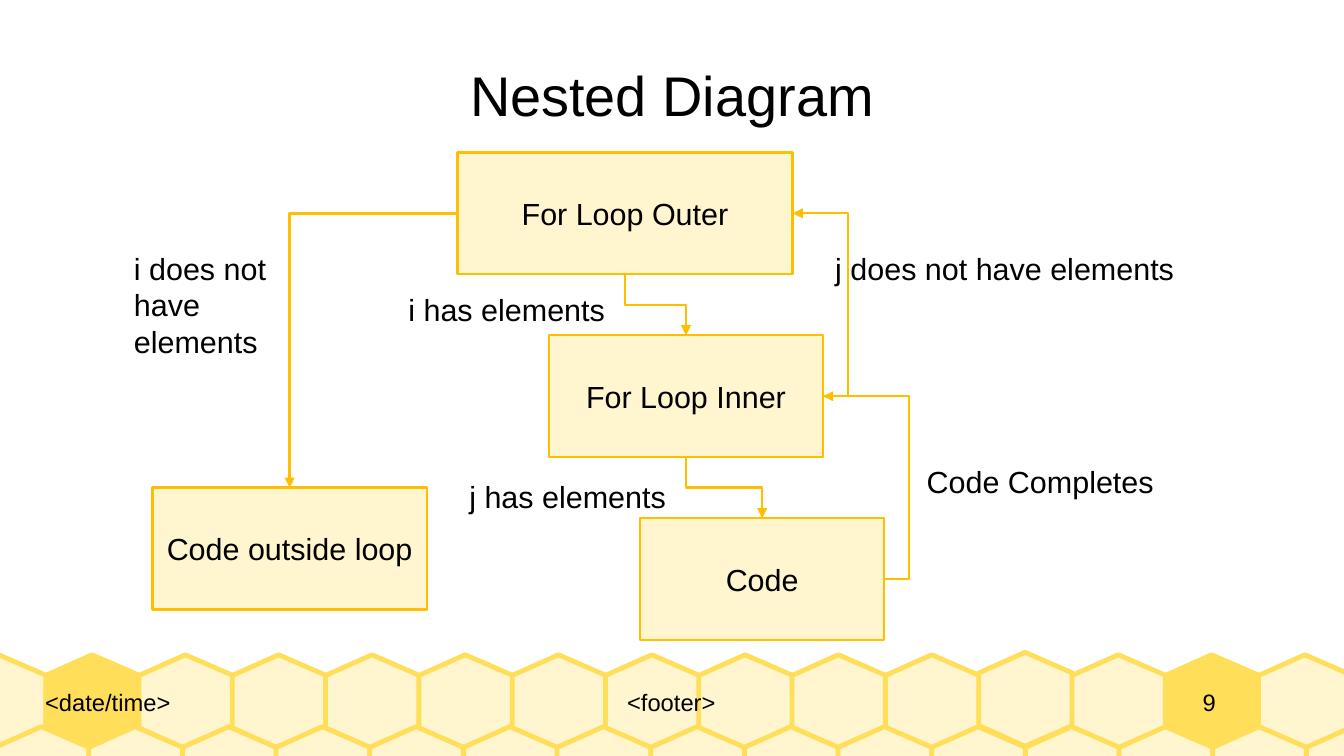
import lxml.etree
import pptx
import pptx.util
import pptx.dml.color
import pptx.enum.shapes
import pptx.enum.text
import pptx.oxml.ns

Inches = pptx.util.Inches
Pt = pptx.util.Pt
RGBColor = pptx.dml.color.RGBColor
Align = pptx.enum.text.PP_ALIGN
Anchor = pptx.enum.text.MSO_ANCHOR
ShapeType = pptx.enum.shapes.MSO_SHAPE
ELBOW = pptx.enum.shapes.MSO_CONNECTOR.ELBOW
qn = pptx.oxml.ns.qn
TOP, LEFT, BOTTOM, RIGHT = range(4)

theme = {
    "font": "Arial",
    "text": RGBColor.from_string("000000"),
    "pale": RGBColor.from_string("FFF5CE"),
    "honey": RGBColor.from_string("FFDE59"),
    "amber": RGBColor.from_string("FFBF00"),
    "title": Pt(33),
    "body": Pt(18),
    "footer": Pt(14),
    "comb_line": Pt(2.83),
    "flow_line": Pt(1.42),
}

presentation = pptx.Presentation()
presentation.slide_width = Inches(11.02)
presentation.slide_height = Inches(6.2)
slide = presentation.slides.add_slide(presentation.slide_layouts[6])


def write_text(shape, text, size, align, anchor, wrap=True, margins=(0.1, 0.05)):
    frame = shape.text_frame
    side, end = map(Inches, margins)
    frame_format = {
        "word_wrap": wrap, "vertical_anchor": anchor,
        "margin_left": side, "margin_right": side,
        "margin_top": end, "margin_bottom": end,
    }
    for name, value in frame_format.items():
        setattr(frame, name, value)
    paragraph = frame.paragraphs[0]
    paragraph.alignment = align
    run = paragraph.add_run()
    run.text = text
    for name, value in {"name": theme["font"], "size": theme[size]}.items():
        setattr(run.font, name, value)
    run.font.color.rgb = theme["text"]


def paint(shape, fill, line, width):
    shape.shadow.inherit = False
    shape.fill.solid()
    shape.fill.fore_color.rgb = theme[fill]
    shape.line.color.rgb = theme[line]
    shape.line.width = theme[width]


comb_rows = [
    {"left": -0.39, "top": 5.37, "pitch": 0.765, "filled": (1, 13), "raised": (11,)},
    {"left": -0.04, "top": 5.96, "pitch": 0.768, "filled": (), "raised": ()},
]
hexagon_points = [(0.38, 0), (0, 0.17), (0, 0.6), (0.38, 0.77), (0.77, 0.6), (0.77, 0.17)]
for row in comb_rows:
    for column in range(15):
        left = row["left"] + column * row["pitch"]
        top = row["top"] - (0.02 if column in row["raised"] else 0)
        points = [(Inches(left + x), Inches(top + y)) for x, y in hexagon_points]
        builder = slide.shapes.build_freeform(*points[0])
        builder.add_line_segments(points[1:], close=True)
        fill = "honey" if column in row["filled"] else "pale"
        paint(builder.convert_to_shape(), fill, "honey", "comb_line")

plain_texts = [
    ("<date/time>", 0.37, 5.37, 2.63, 0.77, "footer", Align.LEFT),
    ("<footer>", 3, 5.37, 5.01, 0.77, "footer", Align.CENTER),
    ("9", 9.29, 5.37, 1.25, 0.77, "footer", Align.CENTER),
    ("Nested Diagram", 0.55, 0.25, 9.92, 1.04, "title", Align.CENTER),
]
for text, left, top, width, height, size, align in plain_texts:
    text_box = slide.shapes.add_textbox(*map(Inches, (left, top, width, height)))
    write_text(text_box, text, size, align, Anchor.MIDDLE, margins=(0, 0))

steps = [
    ("For Loop Outer", 3.75, 1.25, 2.75),
    ("For Loop Inner", 4.5, 2.75, 2.25),
    ("Code", 5.25, 4.25, 2),
    ("Code outside loop", 1.25, 4, 2.25),
]
boxes = {}
for text, left, top, width in steps:
    box = slide.shapes.add_shape(ShapeType.RECTANGLE, *map(Inches, (left, top, width, 1)))
    paint(box, "pale", "amber", "flow_line")
    write_text(box, text, "body", Align.CENTER, Anchor.MIDDLE, wrap=False)
    boxes[text] = box

flows = [
    ("For Loop Inner", BOTTOM, "Code", TOP, "bentConnector3", 50000),
    ("Code", RIGHT, "For Loop Inner", RIGHT, "bentConnector3", -41300),
    ("For Loop Outer", BOTTOM, "For Loop Inner", TOP, "bentConnector3", 50000),
    ("For Loop Inner", RIGHT, "For Loop Outer", RIGHT, "bentConnector3", -82500),
    ("For Loop Outer", LEFT, "Code outside loop", TOP, "bentConnector2", None),
]
for source, source_side, target, target_side, preset, bend in flows:
    connector = slide.shapes.add_connector(ELBOW, 0, 0, 0, 0)
    connector.begin_connect(boxes[source], source_side)
    connector.end_connect(boxes[target], target_side)
    connector.line.color.rgb = theme["amber"]
    connector.line.width = theme["flow_line"]
    properties = connector._element.spPr
    if source_side == BOTTOM:
        center_x = connector.left + connector.width // 2
        center_y = connector.top + connector.height // 2
        width, height = connector.height, connector.width
        frame = {
            "left": center_x - width // 2, "top": center_y - height // 2,
            "width": width, "height": height,
        }
        for name, value in frame.items():
            setattr(connector, name, value)
        transform = properties.find(qn("a:xfrm"))
        transform.set("rot", "16200000")
        transform.set("flipH", "1")
    geometry = properties.find(qn("a:prstGeom"))
    geometry.set("prst", preset)
    if bend is not None:
        guides = geometry.find(qn("a:avLst"))
        lxml.etree.SubElement(guides, qn("a:gd"), name="adj1", fmla=f"val {bend}")
    lxml.etree.SubElement(properties.find(qn("a:ln")), qn("a:tailEnd"), type="triangle")
    lxml.etree.SubElement(properties, qn("a:effectLst"))

labels = [
    ("i does not have elements", 1, 2, 1.5, 0.94),
    ("i has elements", 3.25, 2.34, 2.25, 0.66),
    ("j has elements", 3.75, 3.87, 2, 0.38),
    ("j does not have elements", 6.75, 2, 3, 0.94),
    ("Code Completes", 7.5, 3.75, 2.5, 0.66),
]
for text, left, top, width, height in labels:
    label = slide.shapes.add_textbox(*map(Inches, (left, top, width, height)))
    write_text(label, text, "body", Align.LEFT, Anchor.TOP)

presentation.save("out.pptx")
